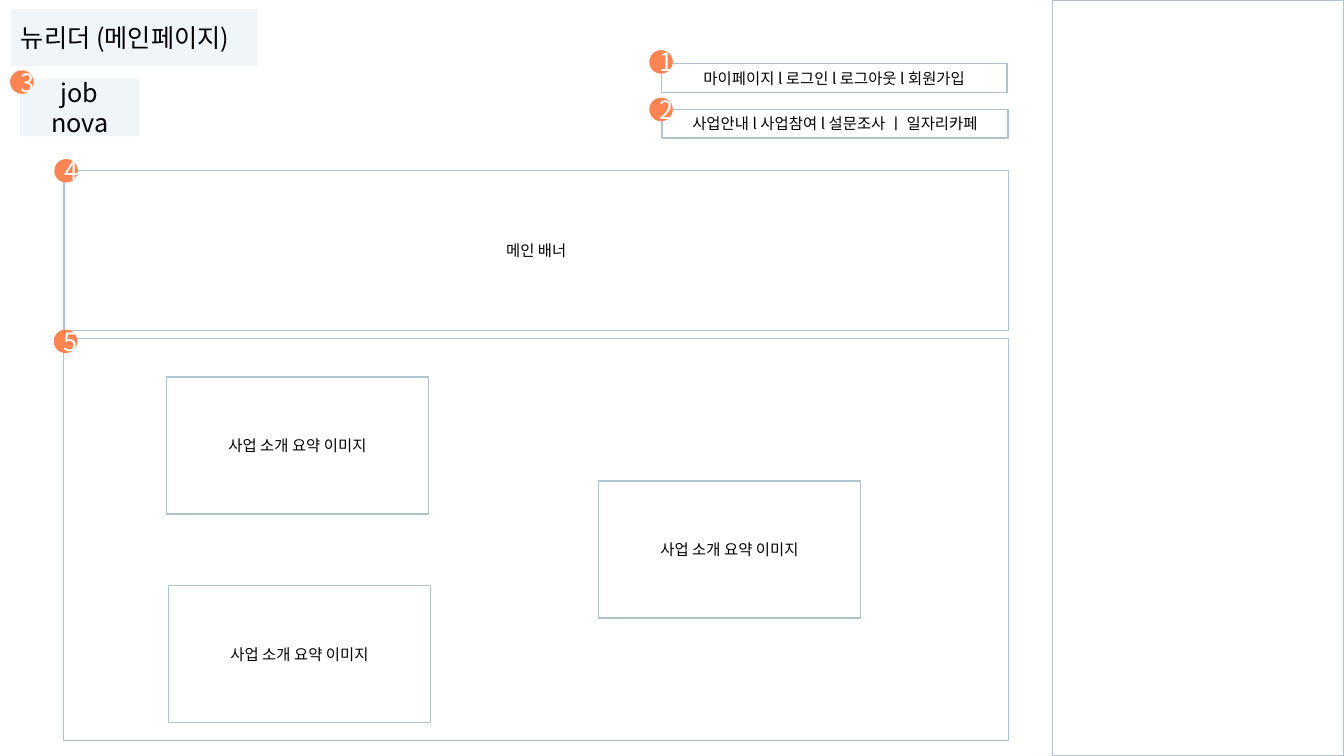
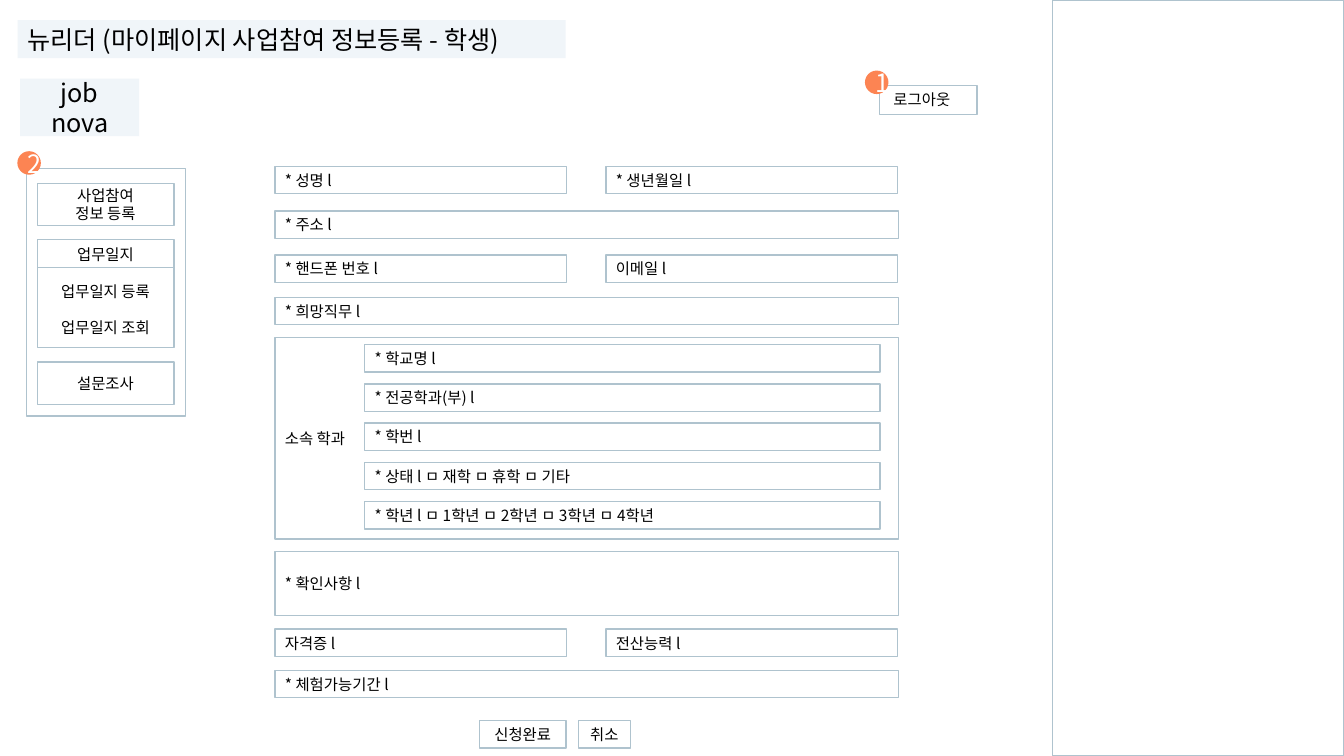
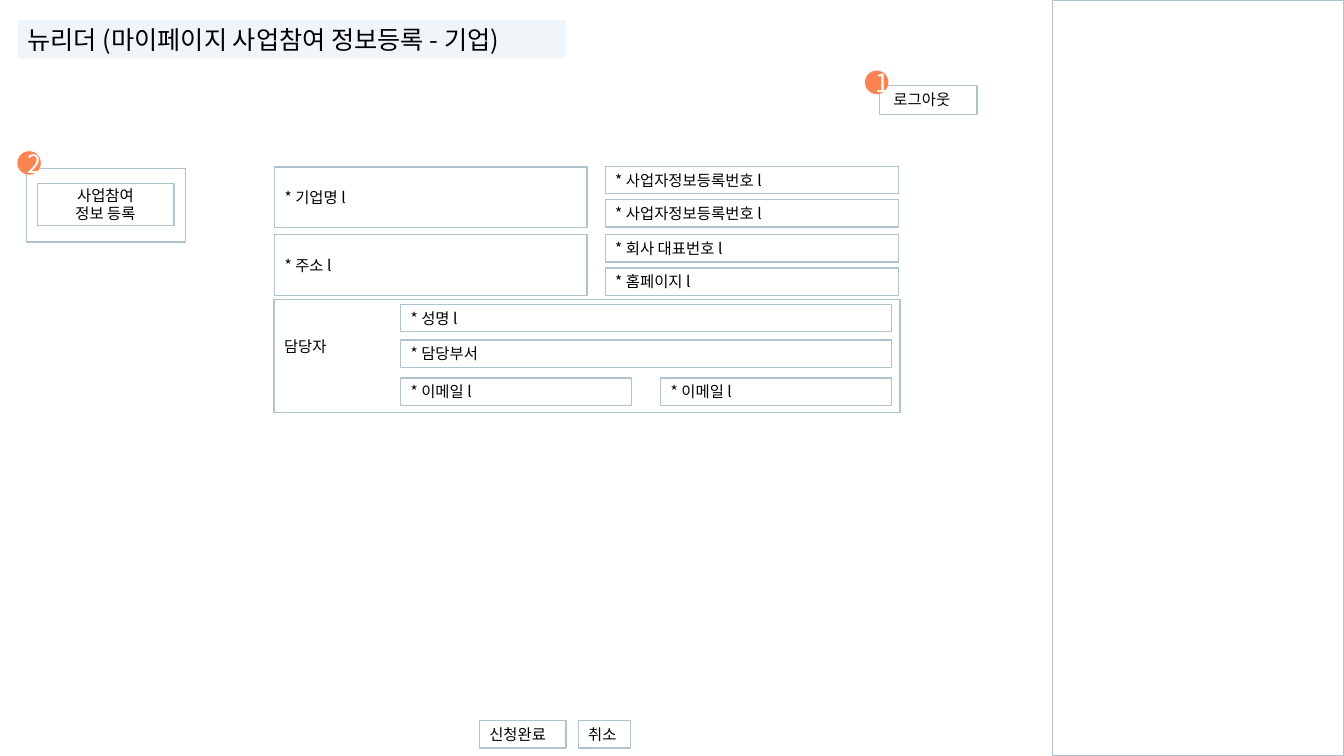
from lxml import etree
from pptx import Presentation
from pptx.dml.color import RGBColor
from pptx.enum import shapes, text
from pptx.oxml import ns
from pptx.util import Pt

HUE = {"line": "AFC3CE", "band": "F0F5F9", "badge": "FC8453",
       "ink": "000000", "white": "FFFFFF"}
FONT = "Noto Sans CJK KR"
RECT, OVAL = shapes.MSO_SHAPE.RECTANGLE, shapes.MSO_SHAPE.OVAL
LEFT, MID = text.PP_ALIGN.LEFT, text.PP_ALIGN.CENTER
TOP, CENTRE = text.MSO_ANCHOR.TOP, text.MSO_ANCHOR.MIDDLE


def write(frame, words, size=11, ink="ink", align=LEFT, anchor=CENTRE,
          gap=0, left=7.2, foot=3.6):
    frame.word_wrap = True
    frame.vertical_anchor = anchor
    frame.margin_left, frame.margin_bottom = Pt(left), Pt(foot)
    for i, line in enumerate(words.split("\n")):
        para = frame.add_paragraph() if i else frame.paragraphs[0]
        para.alignment = align
        para.space_before = Pt(gap if i else 0)
        run = para.add_run()
        run.text = line
        run.font.size = Pt(size)
        run.font.color.rgb = RGBColor.from_string(HUE[ink])
        run.font.name = FONT
        east = etree.SubElement(run.font._element, ns.qn("a:ea"))
        east.set("typeface", FONT)


def box(page, words, x, y, w, h, fill=None, kind=RECT, **style):
    item = page.shapes.add_shape(kind, Pt(x), Pt(y), Pt(w), Pt(h))
    item.shadow.inherit = False
    if fill:
        item.fill.solid()
        item.fill.fore_color.rgb = RGBColor.from_string(HUE[fill])
        item.line.fill.background()
    else:
        item.fill.background()
        item.line.color.rgb = RGBColor.from_string(HUE["line"])
        item.line.width = Pt(1)
    if words:
        write(item.text_frame, words, **style)


deck = Presentation()
deck.slide_width, deck.slide_height = Pt(960), Pt(540)

# Shared parts: title band, note panel, site name
titles = [
    ("뉴리더 (메인페이지)", 7.9, 6.5, 175.7, 41),
    ("뉴리더 (마이페이지 사업참여 정보등록 - 학생)", 12.6, 14.4, 391.5, 27.2),
    ("뉴리더 (마이페이지 사업참여 정보등록 - 기업)", 12.6, 14.4, 391.5, 27.2),
]
pages = []
for title in titles:
    page = deck.slides.add_slide(deck.slide_layouts[6])
    box(page, *title, fill="band", size=18)
    box(page, "", 751.7, 0, 208.3, 540)
    pages.append(page)
main, pupil, firm = pages
for page in (main, pupil):
    box(page, "job nova", 14.4, 56.2, 85, 41, fill="band", size=18, align=MID)

# Main page: menus, banner, summaries
box(main, "마이페이지 l 로그인 l 로그아웃 l 회원가입", 472.4, 45.4, 247, 20.6, align=MID)
box(main, "사업안내 l 사업참여 l 설문조사 ㅣ 일자리카페", 473, 78, 247, 20.6, align=MID)
box(main, "메인 배너", 45.8, 121.8, 674.6, 114.3, align=MID)
box(main, "", 45.4, 242, 674.8, 286.8)
for x, y in [(118.9, 269.3), (427.5, 343.6), (120.4, 418.2)]:
    box(main, "사업 소개 요약 이미지", x, y, 187.2, 98, align=MID)

# Both forms: log-out, first menu entry, buttons
for page, tall, align in [(pupil, 177, MID), (firm, 52.6, LEFT)]:
    box(page, "로그아웃", 628.2, 61, 69.8, 20.6, anchor=TOP, left=10)
    box(page, "", 18.9, 120.2, 113.4, tall)
    box(page, "사업참여\n정보 등록", 26.6, 131, 97.6, 30.2, align=MID)
    box(page, "신청완료", 342.4, 514.8, 62, 19.6, align=align)
    box(page, "취소", 413, 514.8, 37.4, 19.6, align=align)

# Student menu
box(pupil, "업무일지\n업무일지 등록\n업무일지 조회", 26.6, 171.2, 97.6, 77,
    align=MID, anchor=TOP, gap=13.2)
box(pupil, "설문조사", 26.6, 258.6, 97.6, 30.2, align=MID)
rule = pupil.shapes.add_connector(
    shapes.MSO_CONNECTOR.STRAIGHT, Pt(26.6), Pt(191), Pt(124.2), Pt(191))
rule.line.color.rgb = RGBColor.from_string(HUE["line"])
rule.line.width = Pt(1)
etree.SubElement(rule._element.spPr, ns.qn("a:effectLst"))

# Student form: one or two fields a row
rows = [
    (118.8, ["* 성명 l", "* 생년월일 l"]),
    (150.6, ["* 주소 l"]),
    (182, ["* 핸드폰 번호 l", "이메일 l"]),
    (212.4, ["* 희망직무 l"]),
    (449.4, ["자격증 l", "전산능력 l"]),
    (478.8, ["* 체험가능기간 l"]),
]
for y, names in rows:
    wide = 445.6 if len(names) == 1 else 208.4
    for i, name in enumerate(names):
        box(pupil, name, 196.4 + i * 236.4, y, wide, 19.6)
box(pupil, "* 확인사항 l", 196.4, 393.8, 445.6, 46)
box(pupil, "소속 학과", 196.4, 241, 445.6, 144)
study = ["* 학교명 l", "* 전공학과(부) l", "* 학번 l",
         "* 상태 l ㅁ 재학 ㅁ 휴학 ㅁ 기타",
         "* 학년 l ㅁ 1학년 ㅁ 2학년 ㅁ 3학년 ㅁ 4학년"]
for i, name in enumerate(study):
    box(pupil, name, 260.5, 246.2 + i * 28, 368, 19.6)

# Company form
for name, y in [("* 기업명 l", 119.3), ("* 주소 l", 167.6)]:
    box(firm, name, 196.2, y, 223, 43.4)
for name, y in [("* 사업자정보등록번호 l", 118.8), ("* 사업자정보등록번호 l", 142.6),
                ("* 회사 대표번호 l", 167.6), ("* 홈페이지 l", 191.4)]:
    box(firm, name, 432.4, y, 209.6, 19.6)
box(firm, "담당자", 195.8, 214, 447, 80.6, foot=16.8)
for name, x, y, wide in [("* 성명 l", 286.2, 217.4, 350.6),
                         ("* 담당부서", 286.2, 242.8, 350.6),
                         ("* 이메일 l", 286.2, 270, 165),
                         ("* 이메일 l", 472, 270, 165)]:
    box(firm, name, x, y, wide, 19.6)

# Numbered badges
form = [(617.8, 50.4), (12.4, 108)]
spots = [[(463.8, 35.8), (463.8, 69.8), (7.2, 50.2), (38.8, 113.6), (38.4, 235.4)],
         form, form]
for page, places in zip(pages, spots):
    for n, (x, y) in enumerate(places, 1):
        box(page, str(n), x, y, 16.8, 16.8, fill="badge", kind=OVAL,
            size=18, ink="white", align=MID)

deck.save("out.pptx")
